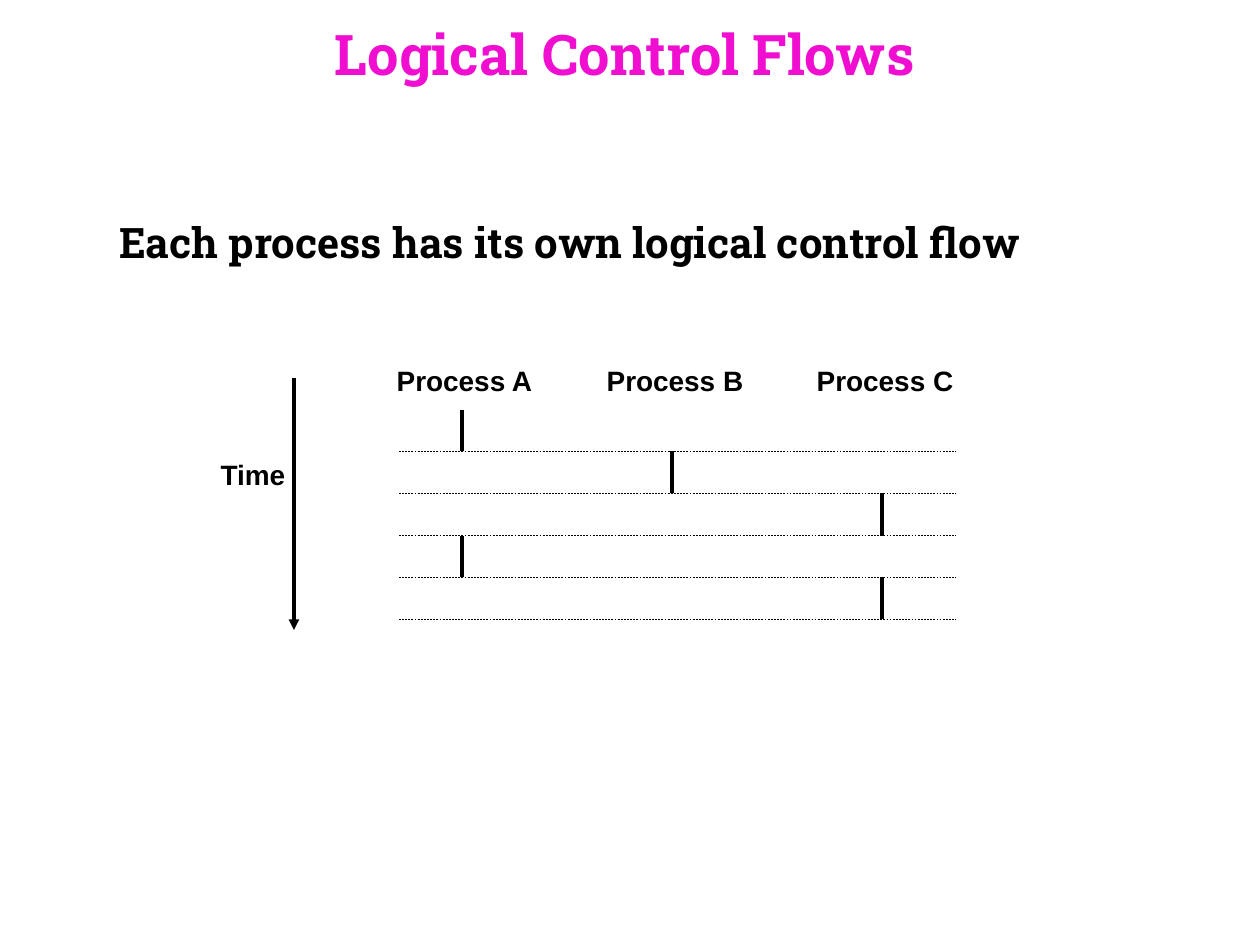
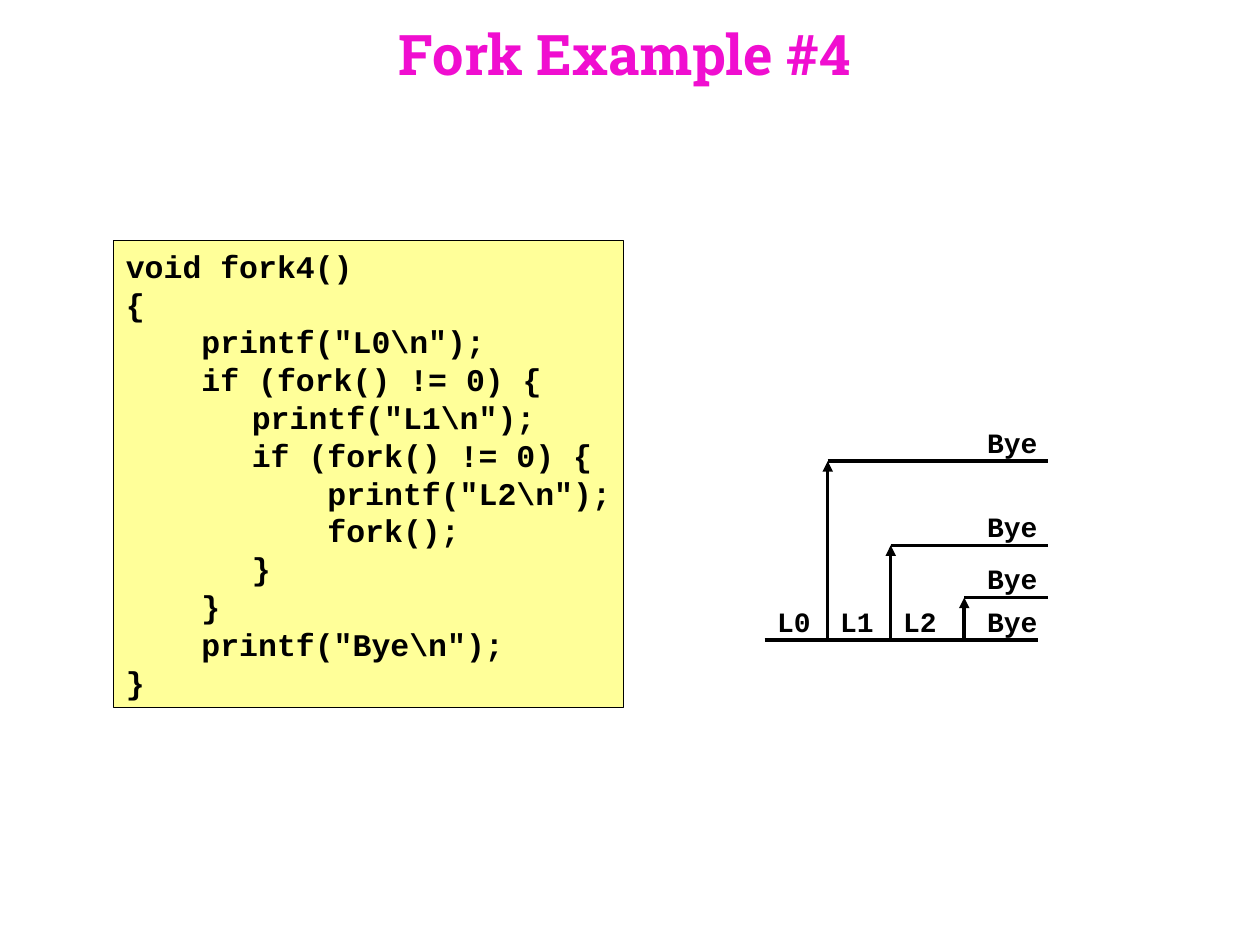
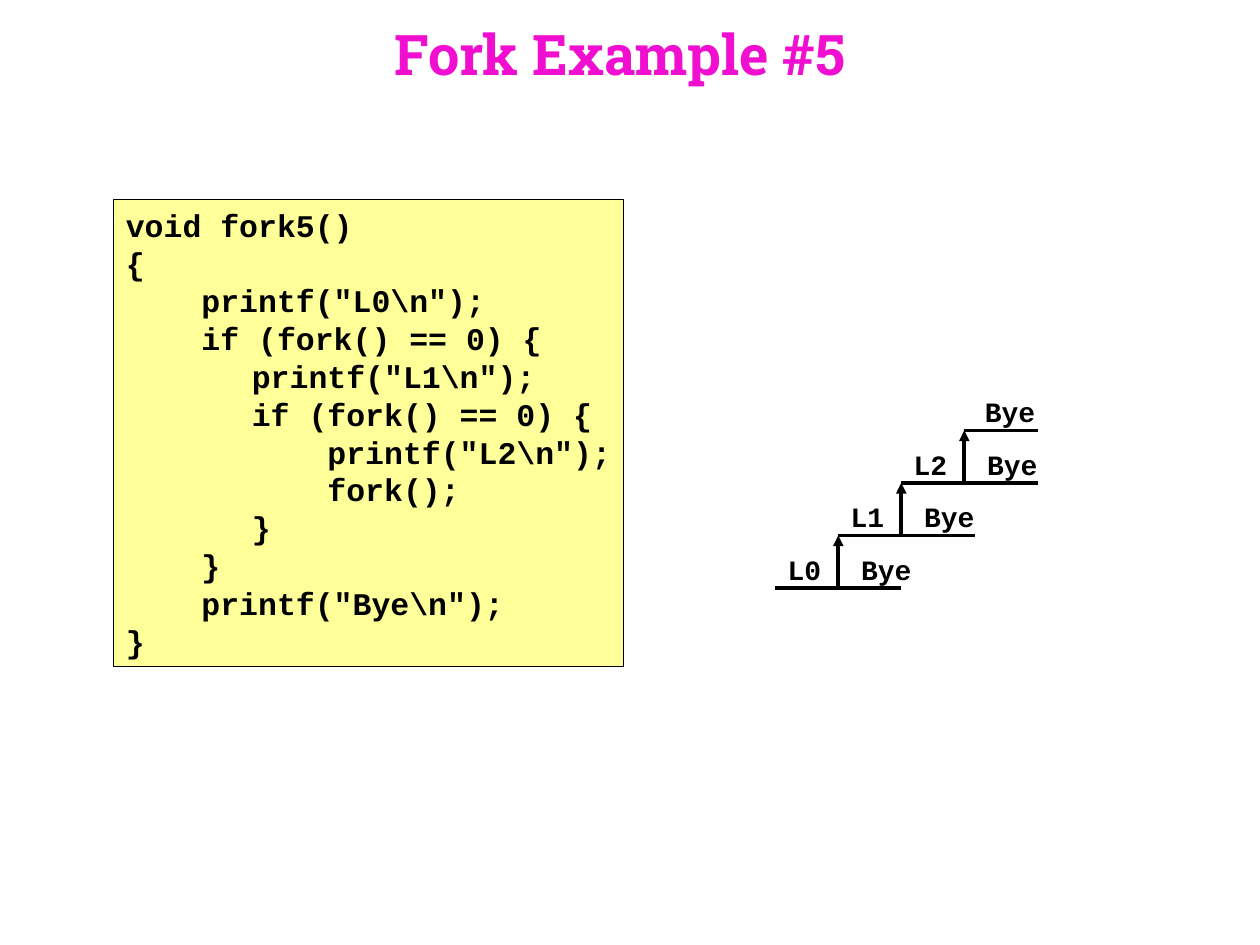
from dataclasses import dataclass
from itertools import pairwise

import lxml.etree
import pptx
import pptx.dml.color
import pptx.enum.dml
import pptx.enum.shapes
import pptx.enum.text
import pptx.oxml.ns
import pptx.presentation
import pptx.shapes.base
import pptx.slide
import pptx.util

Pt = pptx.util.Pt
Align = pptx.enum.text.PP_ALIGN
Anchor = pptx.enum.text.MSO_ANCHOR

BLACK = pptx.dml.color.RGBColor(0x00, 0x00, 0x00)
MAGENTA = pptx.dml.color.RGBColor(0xF0, 0x0E, 0xD0)
PALE_YELLOW = pptx.dml.color.RGBColor(0xFF, 0xFF, 0x99)

THICK = 2
THIN = 0.25
TAB_STOP = 72
LABEL_HEIGHT = 26.6
LABEL_RISE = 24  # from a flow line up to the top of its label
BYE_INDENT = 6

CODE_TEMPLATE = [
    "void NAME()",
    "{",
    '    printf("L0\\n");',
    "    if (fork() TEST 0) {",
    '\tprintf("L1\\n");',
    "\tif (fork() TEST 0) {",
    '\t    printf("L2\\n");',
    "\t    fork();",
    "\t}",
    "    }",
    '    printf("Bye\\n");',
    "}",
]


@dataclass(frozen=True)
class TextStyle:
    name: str
    size: float
    color: pptx.dml.color.RGBColor = BLACK


TITLE = TextStyle("Roboto Slab", 32, MAGENTA)
HEADING = TextStyle("Roboto Slab", 24)
LABEL = TextStyle("Arial", 16)
CODE = TextStyle("Courier New", 18)
CODE_LABEL = TextStyle("Courier New", 16)


@dataclass(frozen=True)
class Frame:
    left: float
    top: float
    width: float
    height: float

    def lengths(self) -> list[pptx.util.Length]:
        return [Pt(value) for value in (self.left, self.top, self.width, self.height)]


@dataclass(frozen=True)
class Segment:
    """A horizontal stretch of a process with its output above it."""
    start: float
    end: float
    y: float
    label: str
    label_left: float


@dataclass(frozen=True)
class Fork:
    """An arrow from a parent process up to its child."""
    x: float
    parent_y: float
    child_y: float


def write_lines(shape: pptx.shapes.base.BaseShape, lines: list[str], style: TextStyle,
                align: Align = Align.LEFT) -> None:
    for number, line in enumerate(lines):
        text_frame = shape.text_frame
        para = text_frame.add_paragraph() if number else text_frame.paragraphs[0]
        para.add_run().text = line
        para.alignment = align
        if "\t" in line:
            properties = para._p.get_or_add_pPr()
            tabs = lxml.etree.SubElement(properties, pptx.oxml.ns.qn("a:tabLst"))
            lxml.etree.SubElement(tabs, pptx.oxml.ns.qn("a:tab"),
                                  pos=str(int(Pt(TAB_STOP))), algn="l")
        para.font.name = style.name
        para.font.size = Pt(style.size)
        para.font.bold = True
        para.font.color.rgb = style.color


def fit_text(shape: pptx.shapes.base.BaseShape) -> None:
    shape.text_frame.word_wrap = False
    shape.text_frame.auto_size = pptx.enum.text.MSO_AUTO_SIZE.SHAPE_TO_FIT_TEXT


def add_label(page: pptx.slide.Slide, frame: Frame, text: str, style: TextStyle) -> None:
    box = page.shapes.add_textbox(*frame.lengths())
    fit_text(box)
    write_lines(box, [text], style)


def add_line(page: pptx.slide.Slide, start: tuple[float, float], end: tuple[float, float],
             width: float = THICK, arrow: bool = False, dashed: bool = False) -> None:
    line = page.shapes.add_connector(pptx.enum.shapes.MSO_CONNECTOR.STRAIGHT,
                                     *(Pt(value) for value in (*start, *end)))
    line.line.color.rgb = BLACK
    line.line.width = Pt(width)
    if dashed:
        line.line.dash_style = pptx.enum.dml.MSO_LINE.DASH
    if arrow:
        lxml.etree.SubElement(line.line._get_or_add_ln(),
                              pptx.oxml.ns.qn("a:tailEnd"), type="triangle")
    lxml.etree.SubElement(line._element.spPr, pptx.oxml.ns.qn("a:effectLst"))


def add_page(deck: pptx.presentation.Presentation, title: str,
             title_width: float = 641) -> pptx.slide.Slide:
    page = deck.slides.add_slide(deck.slide_layouts[6])
    box = page.shapes.add_textbox(*Frame(36.7, 0, title_width, 60.5).lengths())
    box.text_frame.word_wrap = True
    box.text_frame.vertical_anchor = Anchor.MIDDLE
    write_lines(box, [title], TITLE, Align.CENTER)
    return page


def add_code(page: pptx.slide.Slide, top: float, name: str, test: str) -> None:
    box = page.shapes.add_shape(pptx.enum.shapes.MSO_SHAPE.RECTANGLE,
                                *Frame(64.8, top, 291.6, 266.6).lengths())
    box.shadow.inherit = False
    box.fill.solid()
    box.fill.fore_color.rgb = PALE_YELLOW
    box.line.color.rgb = BLACK
    box.line.width = Pt(THIN)
    box.text_frame.vertical_anchor = Anchor.TOP
    fit_text(box)
    lines = [line.replace("NAME", name).replace("TEST", test) for line in CODE_TEMPLATE]
    write_lines(box, lines, CODE)


def add_process_graph(page: pptx.slide.Slide, segments: list[Segment],
                      forks: list[Fork]) -> None:
    for segment in segments:
        add_line(page, (segment.start, segment.y), (segment.end, segment.y))
        width = 45 if segment.label == "Bye" else 35
        add_label(page, Frame(segment.label_left, segment.y - LABEL_RISE, width, LABEL_HEIGHT),
                  segment.label, CODE_LABEL)
    for fork in forks:
        add_line(page, (fork.x, fork.parent_y), (fork.x, fork.child_y), arrow=True)


def build_control_flows(deck: pptx.presentation.Presentation) -> None:
    page = add_page(deck, "Logical Control Flows")
    add_label(page, Frame(61, 120, 558, 36), "Each process has its own logical control flow",
              HEADING)

    # Time axis
    add_line(page, (168, 216), (168, 360), arrow=True)
    add_label(page, Frame(119, 258, 54, LABEL_HEIGHT), "Time", LABEL)

    # Process columns
    columns = {"A": 264, "B": 384, "C": 504}
    for process, x in columns.items():
        add_label(page, Frame(x - 44.4, 204, 95, LABEL_HEIGHT), f"Process {process}", LABEL)

    # One time slice per row, closed by a dashed line
    first_top, slice_height = 234, 24
    for row, process in enumerate("ABCAC"):
        top = first_top + row * slice_height
        bottom = top + slice_height
        add_line(page, (columns[process], top), (columns[process], bottom))
        add_line(page, (228, bottom), (546, bottom), width=THIN, dashed=True)


def build_parent_forks(deck: pptx.presentation.Presentation) -> None:
    page = add_page(deck, "Fork Example #4")
    add_code(page, 137.5, "fork4", "!=")

    # The parent runs along the base and each child leaves it upwards
    base, steps = 365.8, [437, 473, 509, 551]
    bye_left = steps[-1] + BYE_INDENT
    forks = [Fork(x, base, y) for x, y in zip(steps[1:], (263.5, 311.6, 341.5))]
    segments = [Segment(start, end, base, f"L{number}", start)
                for number, (start, end) in enumerate(pairwise(steps))]
    segments.append(Segment(steps[-1], 593, base, "Bye", bye_left))
    segments += [Segment(fork.x, 599, fork.child_y, "Bye", bye_left) for fork in forks]
    add_process_graph(page, segments, forks)


def build_child_forks(deck: pptx.presentation.Presentation) -> None:
    page = add_page(deck, "Fork Example #5", title_width=635)
    add_code(page, 114, "fork5", "==")

    # Each child starts one level above its parent and forks in turn
    base, rise, step, first_x = 336, 30, 36, 443
    segments, forks = [], []
    for level, bye_end in enumerate((515, 557, 593)):
        x, y = first_x + level * step, base - level * rise
        fork_x = x + step
        segments.append(Segment(x, fork_x, y, f"L{level}", x))
        segments.append(Segment(fork_x, bye_end, y, "Bye", fork_x + BYE_INDENT))
        forks.append(Fork(fork_x, y, y - rise))
    last = forks[-1]
    segments.append(Segment(last.x, 593, last.child_y, "Bye", last.x + 4.8))
    add_process_graph(page, segments, forks)


def main() -> None:
    deck = pptx.Presentation()
    deck.slide_width, deck.slide_height = Pt(720), Pt(540)
    build_control_flows(deck)
    build_parent_forks(deck)
    build_child_forks(deck)
    deck.save("out.pptx")


if __name__ == "__main__":
    main()
